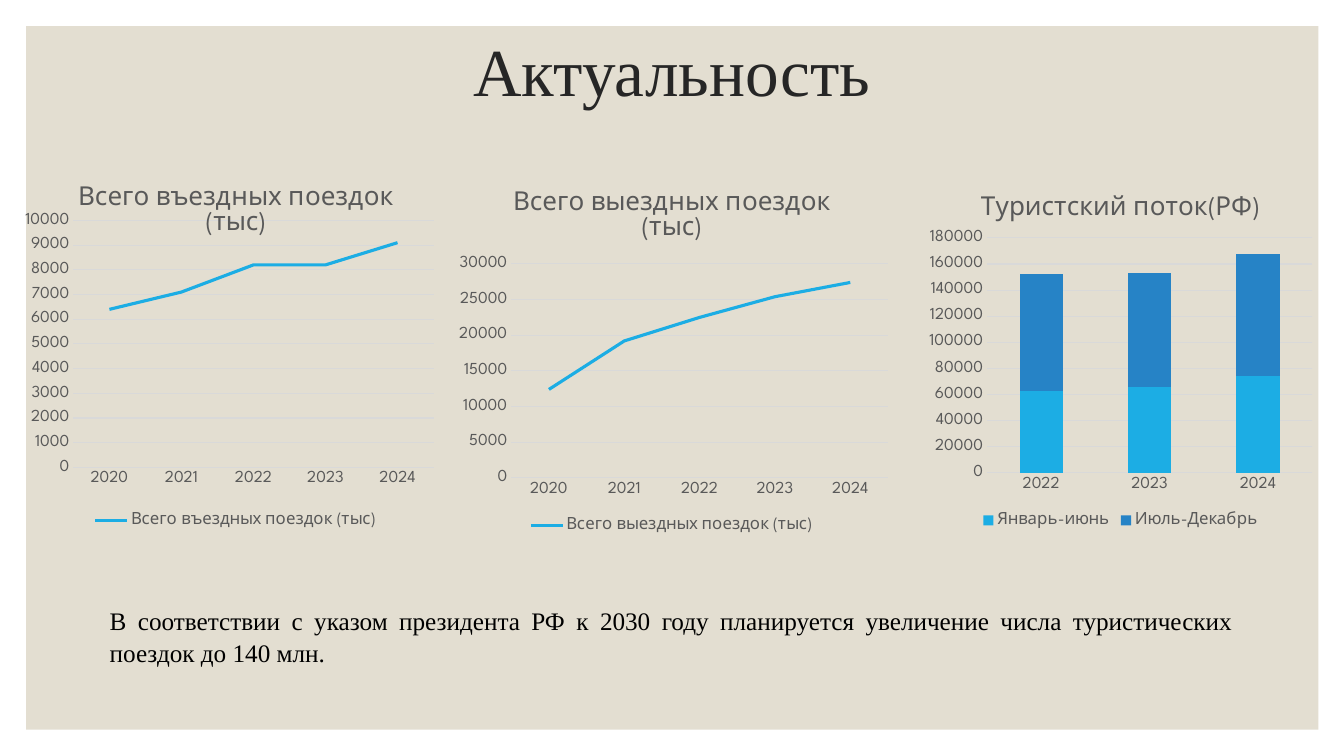
from pptx import Presentation
from pptx.chart.data import CategoryChartData
from pptx.dml.color import RGBColor
from pptx.enum import chart as ch, shapes, text
from pptx.oxml import parse_xml
from pptx.oxml.ns import nsdecls
from pptx.util import Pt

HUES = {"sand": "E3DED1", "ink": "262626", "black": "000000", "gray": "595959",
        "grid": "D9D9D9", "sky": "1CADE4", "blue": "2683C6"}
SERIF, SANS = "Times New Roman", "League Spartan"


def style(font, face, size, hue):
    font.name, font.size, font.bold = face, Pt(size), False
    font.color.rgb = RGBColor.from_string(HUES[hue])


def place(chart, box):
    """Fix the inner plot area at fractions of the chart's size."""
    area = chart._chartSpace.chart.plotArea
    for old in area.findall("{*}layout"):
        area.remove(old)
    marks = "".join(f'<c:{key} val="{val}"/>' for key, val in zip("xywh", box))
    area.insert(0, parse_xml(
        f'<c:layout {nsdecls("c")}><c:manualLayout><c:layoutTarget val="inner"/>'
        f'<c:xMode val="edge"/><c:yMode val="edge"/>{marks}'
        '</c:manualLayout></c:layout>'))


deck = Presentation()
deck.slide_width, deck.slide_height = Pt(960), Pt(540)
slide = deck.slides.add_slide(deck.slide_layouts[6])

panel = slide.shapes.add_shape(shapes.MSO_SHAPE.RECTANGLE,
                               Pt(18.7), Pt(18.7), Pt(923), Pt(502.5))
panel.shadow.inherit = False
panel.fill.solid()
panel.fill.fore_color.rgb = RGBColor.from_string(HUES["sand"])
panel.line.fill.background()

# Words, box, anchor, alignment, line spacing, size, colour
texts = [
    ("Актуальность", (84, 21, 792, 65), text.MSO_ANCHOR.MIDDLE,
     text.PP_ALIGN.CENTER, 0.9, 48, "ink"),
    ("В соответствии с указом президента РФ к 2030 году планируется увеличение "
     "числа туристических поездок до 140 млн.", (71.3, 427, 816.5, 62),
     text.MSO_ANCHOR.TOP, text.PP_ALIGN.JUSTIFY, 1.07, 18, "black"),
]
for words, box, anchor, align, gap, size, hue in texts:
    frame = slide.shapes.add_textbox(*map(Pt, box)).text_frame
    frame.word_wrap = True
    frame.vertical_anchor = anchor
    frame.text = words
    para = frame.paragraphs[0]
    para.alignment, para.line_spacing = align, gap
    style(para.runs[0].font, SERIF, size, hue)

LINE, STACK = ch.XL_CHART_TYPE.LINE, ch.XL_CHART_TYPE.COLUMN_STACKED
years = ["2020", "2021", "2022", "2023", "2024"]
inward, outward = "Всего въездных поездок (тыс)", "Всего выездных поездок (тыс)"
# Kind, title, box, plot area, years, series, axis top, axis step
charts = [
    (LINE, inward, (16.6, 118.8, 303.8, 261.4), (0.118, 0.148, 0.847, 0.675),
     years, {inward: (6400, 7100, 8200, 8200, 9100)}, 10000, 1000),
    (LINE, outward, (319.7, 122.4, 320.4, 261.4), (0.142, 0.253, 0.84, 0.585),
     years, {outward: (12400, 19200, 22500, 25400, 27400)}, 30000, 5000),
    (STACK, "Туристский поток(РФ)", (658, 126, 285, 254.2),
     (0.165, 0.173, 0.815, 0.66), years[2:],
     {"Январь-июнь": (63000, 66000, 74000),
      "Июль-Декабрь": (89000, 87000, 94000)}, 180000, 20000),
]
for kind, title, box, inner, cats, rows, top, step in charts:
    data = CategoryChartData()
    data.categories = cats
    for name, vals in rows.items():
        data.add_series(name, vals)
    chart = slide.shapes.add_chart(kind, *map(Pt, box), data).chart
    style(chart.font, SANS, 10, "black")
    place(chart, inner)

    chart.has_title = True
    chart.chart_title.text_frame.text = title
    head = chart.chart_title.text_frame.paragraphs[0]
    style(head.runs[0].font, SANS, 18.6, "gray")

    chart.has_legend = True
    chart.legend.position = ch.XL_LEGEND_POSITION.BOTTOM
    chart.legend.include_in_layout = False
    style(chart.legend.font, SANS, 12, "gray")

    across, up = chart.category_axis, chart.value_axis
    for axis in (across, up):
        axis.major_tick_mark = axis.minor_tick_mark = ch.XL_TICK_MARK.NONE
        style(axis.tick_labels.font, SANS, 12, "gray")
    up.minimum_scale, up.maximum_scale, up.major_unit = 0, top, step
    up.format.line.fill.background()
    for rule in (across.format.line, up.major_gridlines.format.line):
        rule.width = Pt(0.75)
        rule.color.rgb = RGBColor.from_string(HUES["grid"])

    plot = chart.plots[0]
    plot.vary_by_categories = False
    if kind == STACK:
        plot.gap_width, plot.overlap = 150, 100
    for row, hue in zip(plot.series, ("sky", "blue")):
        color = RGBColor.from_string(HUES[hue])
        if kind == LINE:
            row.smooth = False
            row.marker.style = ch.XL_MARKER_STYLE.NONE
            row.format.line.width = Pt(2.25)
            row.format.line.color.rgb = color
        else:
            row.format.fill.solid()
            row.format.fill.fore_color.rgb = color

deck.save("out.pptx")
